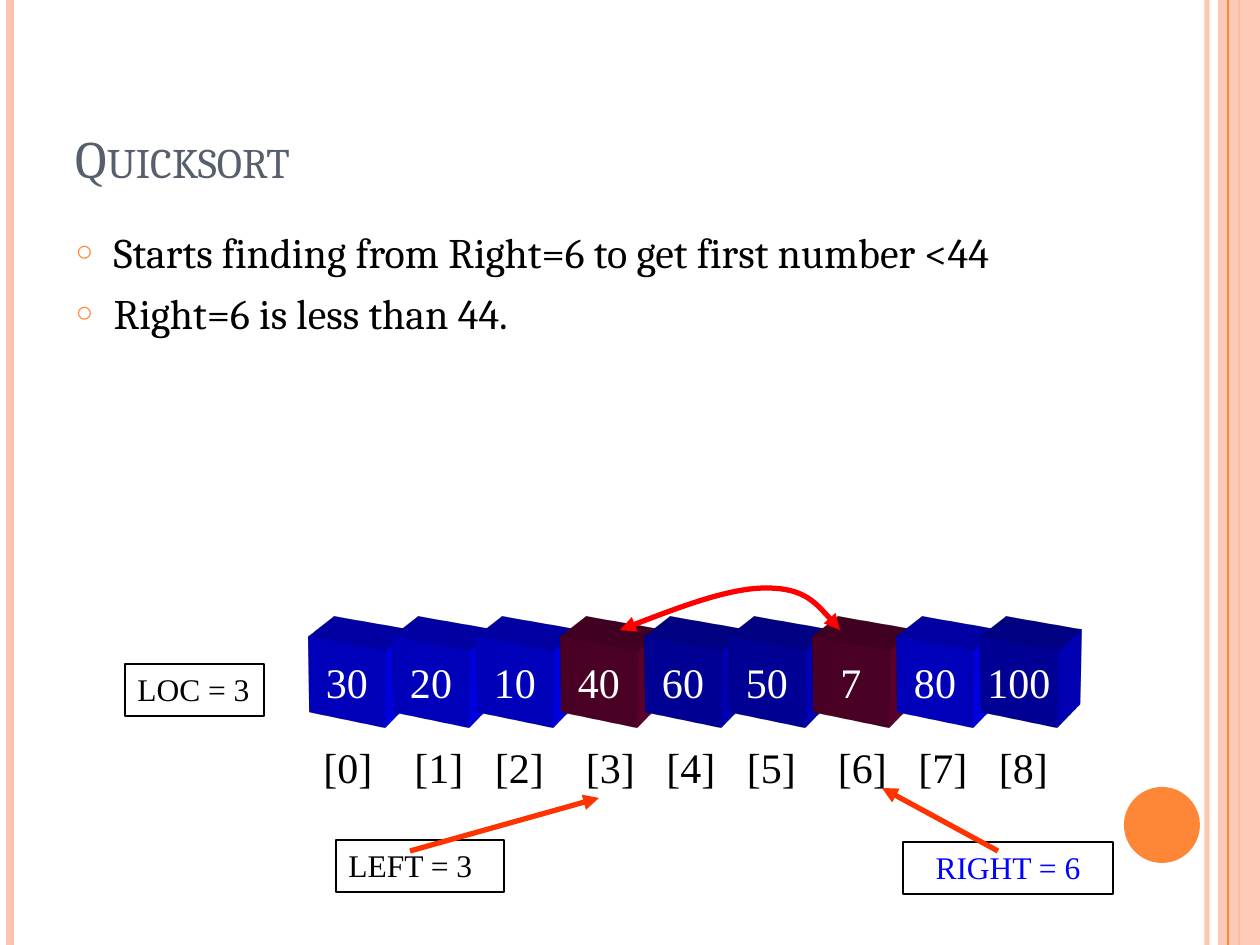
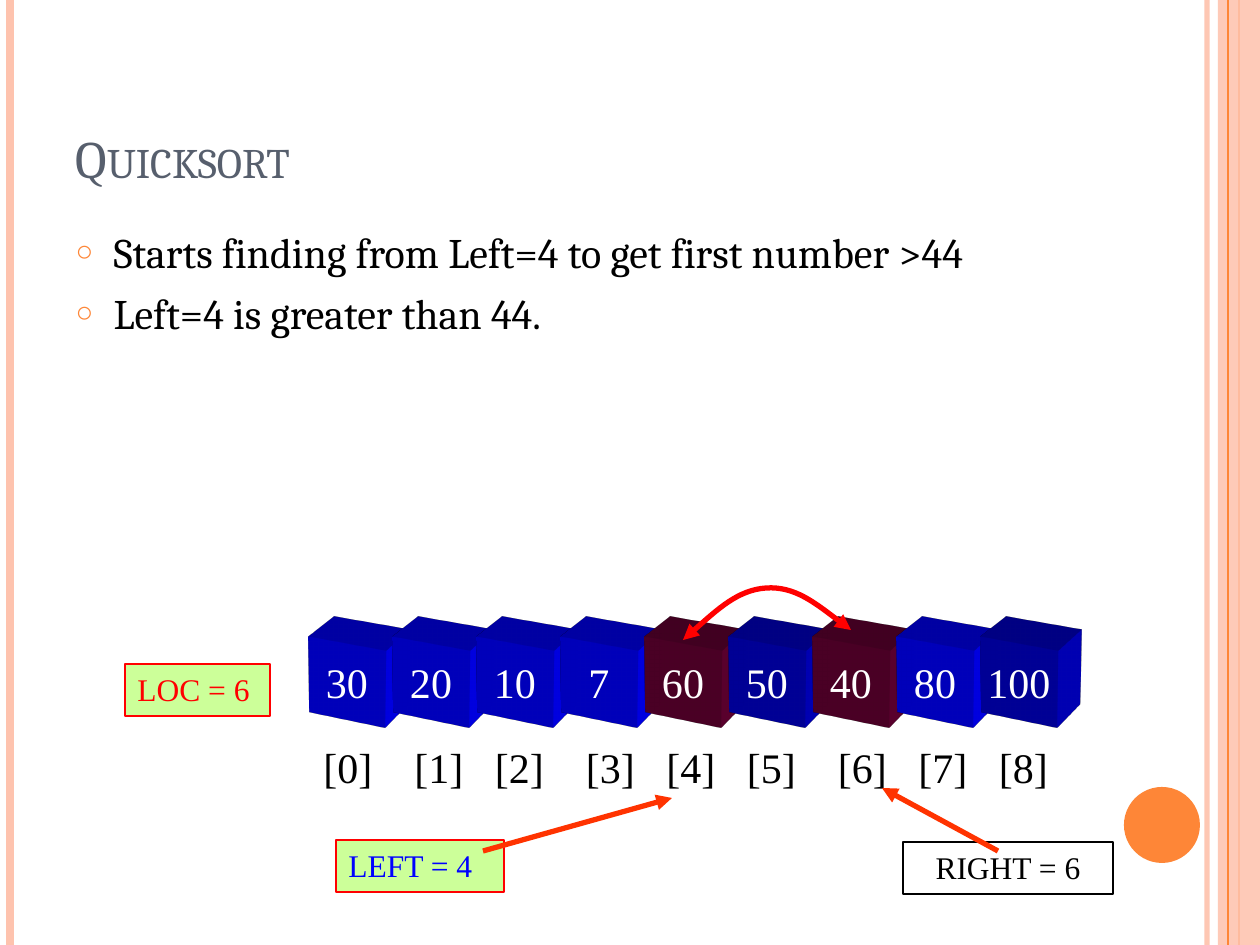
"""Build two slides that trace steps of quicksort."""
import dataclasses
import itertools

import lxml.etree
import pptx
import pptx.dml.color
import pptx.enum.shapes
import pptx.enum.text
import pptx.oxml.ns
import pptx.util

SCALE = 914400 / 126
ALIGN = pptx.enum.text.PP_ALIGN
ANCHOR = pptx.enum.text.MSO_ANCHOR
KIND = pptx.enum.shapes.MSO_SHAPE


@dataclasses.dataclass(frozen=True)
class Theme:
    """Colours, fonts and type sizes of the deck."""
    orange: str = "FE8637"
    peach: str = "FEC3AE"
    slate: str = "575F6D"
    black: str = "000000"
    white: str = "FFFFFF"
    blue: str = "0000FF"
    navy: str = "0000CC"
    wine: str = "660033"
    red: str = "FF0000"
    lime: str = "CCFF99"
    scarlet: str = "FF3300"
    serif: str = "Cambria"
    roman: str = "Times New Roman"
    title: int = 30
    text: int = 24
    note: int = 18


THEME = Theme()


def px(*sizes):
    """Turn px lengths into EMU."""
    return [pptx.util.Emu(round(size * SCALE)) for size in sizes]


def rgb(code):
    """Return a colour from its hex code."""
    return pptx.dml.color.RGBColor.from_string(code)


def sub(parent, tag, **values):
    """Append a drawing element with its values."""
    node = lxml.etree.SubElement(parent, pptx.oxml.ns.qn("a:" + tag))
    for key, value in values.items():
        node.set(key, str(value))
    return node


def fade(shape, share):
    """Set the opacity, in percent, of the first colour of a shape."""
    color = shape.element.spPr.find(".//" + pptx.oxml.ns.qn("a:srgbClr"))
    sub(color, "alpha", val=share * 1000)


def style(para, size, color, face):
    """Set the font of a paragraph."""
    para.font.size = pptx.util.Pt(size)
    para.font.name = face
    para.font.color.rgb = rgb(color)


def paint(shape, fill=None, line=None, width=0.75):
    """Set fill and line of a shape and drop its shadow."""
    shape.shadow.inherit = False
    if fill:
        shape.fill.solid()
        shape.fill.fore_color.rgb = rgb(fill)
    else:
        shape.fill.background()
    if line:
        shape.line.color.rgb = rgb(line)
        shape.line.width = pptx.util.Pt(width)
    else:
        shape.line.fill.background()


def stroke(slide, start, end, color, width):
    """Draw a straight line."""
    line = slide.shapes.add_connector(
        pptx.enum.shapes.MSO_CONNECTOR.STRAIGHT, *px(*start, *end))
    line.line.color.rgb = rgb(color)
    line.line.width = pptx.util.Pt(width)
    sub(line.element.spPr, "effectLst")
    return line


def tip(shape, *ends):
    """Add arrowheads at the named ends of a line."""
    line = shape.element.spPr.find(pptx.oxml.ns.qn("a:ln"))
    for end in ends:
        sub(line, end, type="triangle")


def frame(slide):
    """Draw the side bands and the disc, and move them to the layout."""
    bars = [stroke(slide, (x, 0), (x, 945), color, width) for x, color, width in (
        (1207, THEME.peach, 3), (10, THEME.peach, 4.5), (1239, THEME.orange, 1.5))]
    fade(bars[0], 93)
    band = slide.shapes.add_shape(KIND.RECTANGLE, *px(1218, 0, 42, 945))
    paint(band, THEME.peach)
    fade(band, 87)
    thin = stroke(slide, (1228, 0), (1228, 945), THEME.orange, 0.75)
    disc = slide.shapes.add_shape(KIND.OVAL, *px(1124, 787, 76, 76))
    paint(disc, THEME.orange)
    tree = slide.slide_layout.element.cSld.spTree
    for shape in (*bars, band, thin, disc):
        tree.append(shape.element)


def place(shape, left, top, width, height):
    """Move a placeholder."""
    shape.left, shape.top, shape.width, shape.height = px(left, top, width, height)
    shape.text_frame.auto_size = pptx.enum.text.MSO_AUTO_SIZE.NONE


def head(slide, text):
    """Fill the title in small caps."""
    shape = slide.shapes.title
    place(shape, 63, 38, 1029, 157)
    shape.text_frame.text = text
    shape.text_frame.vertical_anchor = ANCHOR.BOTTOM
    para = shape.text_frame.paragraphs[0]
    para.alignment = ALIGN.LEFT
    style(para, THEME.title, THEME.slate, THEME.serif)
    para.font._rPr.set("cap", "small")


def points(slide, lines, width):
    """Fill the body with ring bullets."""
    shape = slide.placeholders[1]
    place(shape, 63, 220, width, 672)
    shape.text_frame.text = "\n".join(lines)
    for index, para in enumerate(shape.text_frame.paragraphs):
        para.space_before = pptx.util.Pt(6 if index else 0)
        props = para._p.get_or_add_pPr()
        indent = px(38)[0]
        props.set("marL", str(indent))
        props.set("indent", str(-indent))
        sub(sub(props, "buClr"), "srgbClr", val=THEME.orange)
        sub(props, "buSzPct", val=70000)
        sub(props, "buChar", char="○")
        style(para, THEME.text, THEME.black, THEME.serif)


def extrude(shape, color):
    """Turn a shape into a block seen from below right."""
    props = shape.element.spPr
    scene = sub(props, "scene3d")
    camera = sub(scene, "camera", prst="legacyPerspectiveFront")
    sub(camera, "rot", lat=1500000, lon=1500000, rev=0)
    sub(scene, "lightRig", rig="legacyFlat3", dir="b")
    solid = sub(props, "sp3d", extrusionH=430200, prstMaterial="legacyMatte")
    sub(sub(solid, "extrusionClr"), "srgbClr", val=color)


def cube(slide, left, value, color):
    """Draw a cube with its value."""
    shape = slide.shapes.add_shape(KIND.RECTANGLE, *px(left, 640, 84, 84))
    paint(shape, color)
    extrude(shape, color)
    shape.text_frame.text = str(value)
    shape.text_frame.word_wrap = False
    shape.text_frame.vertical_anchor = ANCHOR.MIDDLE
    para = shape.text_frame.paragraphs[0]
    para.alignment = ALIGN.CENTER
    style(para, THEME.text, THEME.white, THEME.roman)


def row(slide, values, swap):
    """Draw the cubes, with the swapped pair in wine."""
    for index, value in enumerate(values):
        base = THEME.navy if index in (4, 5, 8) else THEME.blue
        cube(slide, 305 + 84 * index, value, THEME.wine if index in swap else base)


def scale(slide):
    """Write the index of each cube, set out by tab stops."""
    box = slide.shapes.add_textbox(*px(311, 735, 750, 63))
    box.text_frame.word_wrap = True
    para = box.text_frame.paragraphs[0]
    para.text = "\t".join(f"[{index}]" for index in range(9))
    tabs = sub(para._p.get_or_add_pPr(), "tabLst")
    for stop in itertools.accumulate((52, 46, 52, 46, 46, 52, 46, 46)):
        sub(tabs, "tab", pos=pptx.util.Pt(stop), algn="l")
    style(para, THEME.text, THEME.black, THEME.roman)


def label(slide, text, box, ink, lit=False, align=ALIGN.LEFT, wrap=True):
    """Draw a framed label, green and red when lit."""
    shape = slide.shapes.add_shape(KIND.RECTANGLE, *px(*box))
    paint(shape, THEME.lime if lit else None, THEME.red if lit else THEME.black)
    shape.text_frame.text = text
    shape.text_frame.word_wrap = wrap
    shape.text_frame.vertical_anchor = ANCHOR.TOP
    para = shape.text_frame.paragraphs[0]
    para.alignment = align
    style(para, THEME.note, ink, THEME.roman)


def arrow(slide, start, end):
    """Draw an arrow to an index."""
    tip(stroke(slide, start, end, THEME.scarlet, 3), "tailEnd")


def arc(slide, dots):
    """Draw a curved double arrow from Bezier dots."""
    maker = slide.shapes.build_freeform(*dots[0], scale=SCALE)
    maker.add_line_segments(dots[1:], close=False)
    shape = maker.convert_to_shape()
    paint(shape, None, THEME.red, 3)
    tip(shape, "headEnd", "tailEnd")
    track = shape.element.spPr.find(".//" + pptx.oxml.ns.qn("a:path"))
    steps = track.findall(pptx.oxml.ns.qn("a:lnTo"))
    for first in range(0, len(steps), 3):
        curve = sub(track, "cubicBezTo")
        for step in steps[first:first + 3]:
            curve.append(step[0])
            track.remove(step)


def trace(deck, lines, width, values, swap, loc, left, right, aim, bend):
    """Add one slide of the trace."""
    slide = deck.slides.add_slide(deck.slide_layouts[1])
    head(slide, "Quicksort")
    points(slide, lines, width)
    row(slide, values, swap)
    label(slide, *loc, wrap=False)
    scale(slide)
    label(slide, left[0], (336, 840, 168, 52), *left[1:])
    label(slide, "RIGHT = 6", (903, 842, 210, 52), right, align=ALIGN.CENTER)
    arrow(slide, (998, 851), (882, 788))
    arrow(slide, (aim, 851), (aim + 189, 798))
    arc(slide, bend)
    return slide


def main():
    """Build and save the deck."""
    deck = pptx.Presentation()
    deck.slide_width, deck.slide_height = px(1260, 945)
    first = trace(
        deck,
        ("Starts finding from Right=6 to get first number <44",
         "Right=6 is less than 44."),
        1029, (30, 20, 10, 40, 60, 50, 7, 80, 100), (3, 6),
        ("LOC = 3", (125, 664, 139, 52), THEME.black),
        ("LEFT = 3", THEME.black), THEME.blue, 410,
        ((620, 630), (674, 609), (730, 588), (766, 588),
         (804, 588), (822, 609), (840, 630)))
    frame(first)
    trace(
        deck,
        ("Starts finding from Left=4 to get first number >44",
         "Left=4 is greater than 44."),
        1092, (30, 20, 10, 7, 60, 50, 40, 80, 100), (4, 6),
        ("LOC = 6", (125, 664, 145, 52), THEME.red, True),
        ("LEFT = 4", THEME.blue, True), THEME.black, 483,
        ((683, 640), (711, 615), (738, 590), (766, 588),
         (795, 586), (823, 609), (851, 630)))
    deck.save("out.pptx")


if __name__ == "__main__":
    main()
